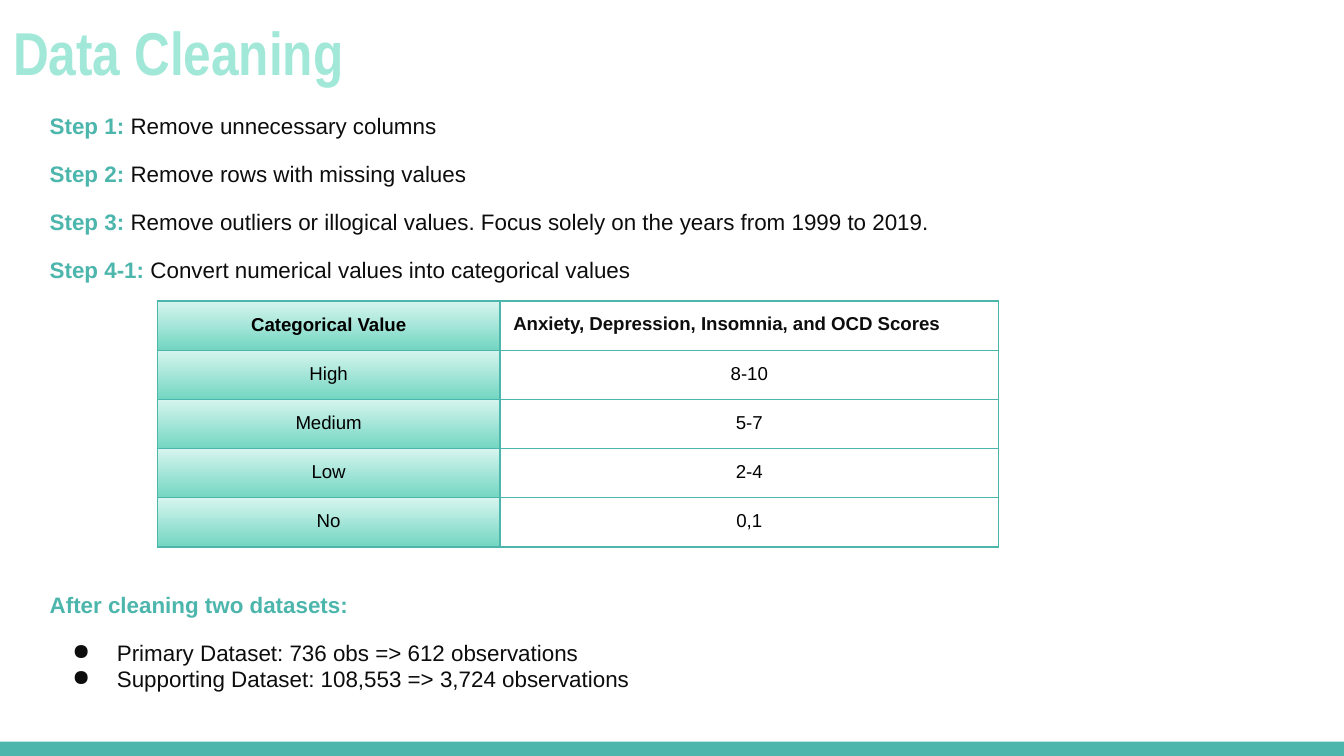
from lxml import etree
from pptx import Presentation
from pptx.dml.color import RGBColor
from pptx.enum.shapes import MSO_SHAPE
from pptx.enum.text import MSO_ANCHOR, PP_ALIGN
from pptx.oxml import parse_xml
from pptx.oxml.ns import qn
from pptx.util import Cm, Pt

# Content
TITLE = "Data Cleaning"
STEPS = [
    ("Step 1:", " Remove unnecessary columns"),
    ("Step 2:", " Remove rows with missing values"),
    ("Step 3:", " Remove outliers or illogical values. "
                "Focus solely on the years from 1999 to 2019."),
    ("Step 4-1: ", "Convert numerical values into categorical values"),
]
ROWS = [
    ("Categorical Value", "Anxiety, Depression, Insomnia, and OCD Scores"),
    ("High", "8-10"),
    ("Medium", "5-7"),
    ("Low", "2-4"),
    ("No", "0,1"),
]
RESULT = "After cleaning two datasets:"
SETS = [
    "Primary Dataset: 736 obs => 612 observations",
    "Supporting Dataset: 108,553 => 3,724 observations",
]

# Style
TEAL, MINT, INK, BLACK = "4DB6AC", "A1E8D9", "0D0D0D", "000000"
SHADE = ("D6F5EF", "73D6C1")
PAD = Cm(0.25)
GAP = 12          # points between steps
TABLE_GAP = 166   # points left free for the table


def color(text):
    return RGBColor.from_string(text)


def add_run(para, text, size, tint, bold=False, font="Arial"):
    run = para.add_run()
    run.text = text
    run.font.name, run.font.size, run.font.bold = font, Pt(size), bold
    run.font.color.rgb = color(tint)


def pad(item):
    item.margin_left = item.margin_right = PAD
    item.margin_top = item.margin_bottom = PAD


def add_box(left, top, width, height, anchor):
    frame = slide.shapes.add_textbox(
        Cm(left), Cm(top), Cm(width), Cm(height)).text_frame
    frame.word_wrap = True
    frame.vertical_anchor = anchor
    pad(frame)
    return frame


def add_bullet(para):
    props = para._p.get_or_add_pPr()
    props.set("marL", str(Cm(1.27)))
    props.set("indent", str(-Cm(0.84)))
    tint = etree.SubElement(props, qn("a:buClr"))
    etree.SubElement(tint, qn("a:srgbClr"), val=INK)
    etree.SubElement(props, qn("a:buChar"), char="●")


def add_border(cell):
    props = cell._tc.get_or_add_tcPr()
    for spot, side in enumerate(("lnL", "lnR", "lnT", "lnB")):
        props.insert(spot, parse_xml(
            f'<a:{side} xmlns:a="http://schemas.openxmlformats.org/drawingml/2006/main"'
            f' w="{Pt(0.75)}"><a:solidFill><a:srgbClr val="{TEAL}"/></a:solidFill>'
            f'</a:{side}>'))


deck = Presentation()
deck.slide_width, deck.slide_height = Cm(25.4), Cm(14.29)
slide = deck.slides.add_slide(deck.slide_layouts[6])

# Footer band
band = slide.shapes.add_shape(
    MSO_SHAPE.RECTANGLE, 0, Cm(14.02), deck.slide_width, Cm(0.27))
band.shadow.inherit = False
band.fill.solid()
band.fill.fore_color.rgb = color(TEAL)
band.line.fill.background()

# Title
head = add_box(0, 0, 23.67, 1.96, MSO_ANCHOR.MIDDLE)
add_run(head.paragraphs[0], TITLE, 32.4, MINT, True, "Arial Narrow")

# Steps and results
body = add_box(0.69, 1.91, 24.56, 10.54, MSO_ANCHOR.TOP)


def add_line(before):
    para = body.add_paragraph() if before is not None else body.paragraphs[0]
    para.line_spacing = 0.95
    if before:
        para.space_before = Pt(before)
    return para


for i, (label, text) in enumerate(STEPS):
    para = add_line(GAP if i else None)
    add_run(para, label, 12, TEAL, True)
    add_run(para, text, 12, INK)
add_run(add_line(TABLE_GAP), RESULT, 12, TEAL, True)
for i, text in enumerate(SETS):
    para = add_line(0 if i else GAP)
    add_bullet(para)
    add_run(para, text, 12, INK)

# Score table
COLS, HIGH = (6.48, 9.42), 0.93
table = slide.shapes.add_table(
    len(ROWS), len(COLS), Cm(2.97), Cm(5.69),
    Cm(sum(COLS)), Cm(HIGH * len(ROWS))).table
table.first_row = table.horz_banding = False
for col, width in zip(table.columns, COLS):
    col.width = Cm(width)
for r, row in enumerate(ROWS):
    table.rows[r].height = Cm(HIGH)
    for c, text in enumerate(row):
        cell = table.cell(r, c)
        pad(cell)
        para = cell.text_frame.paragraphs[0]
        score = r == 0 and c == 1
        if score:
            para.line_spacing = 0.95
        para.alignment = PP_ALIGN.LEFT if score else PP_ALIGN.CENTER
        add_run(para, text, 10, INK if score else BLACK, r == 0)
        if c == 0:
            cell.fill.gradient()
            cell.fill.gradient_angle = 270
            for stop, tint in zip(cell.fill.gradient_stops, SHADE):
                stop.color.rgb = color(tint)
        else:
            cell.fill.background()
        add_border(cell)

deck.save("out.pptx")
